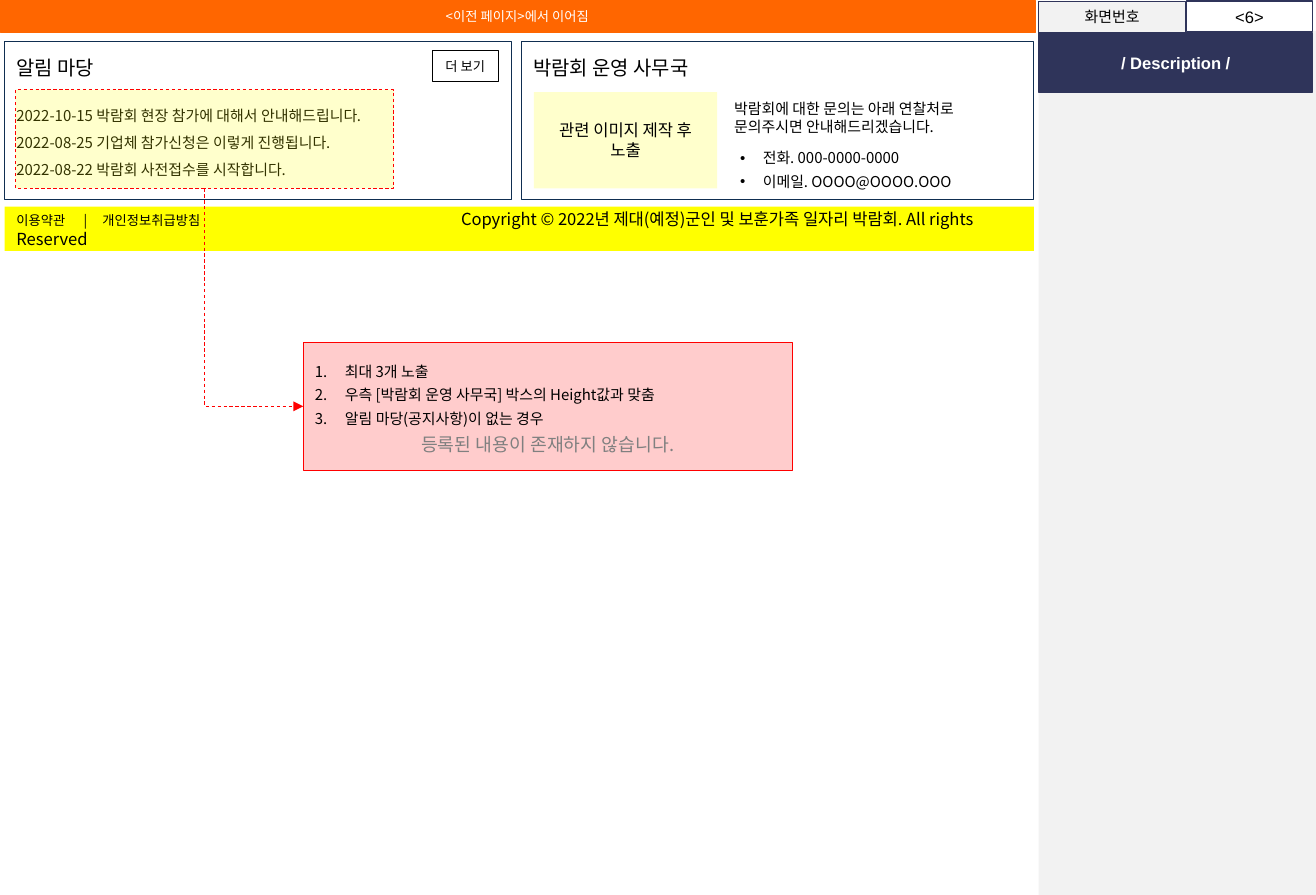
from lxml import etree
from pptx import Presentation
from pptx.dml.color import RGBColor
from pptx.enum.dml import MSO_LINE
from pptx.enum.shapes import MSO_CONNECTOR, MSO_SHAPE
from pptx.enum.text import MSO_ANCHOR, PP_ALIGN
from pptx.oxml.ns import qn
from pptx.util import Cm, Pt

RECTANGLE = MSO_SHAPE.RECTANGLE
ELBOW = MSO_CONNECTOR.ELBOW
DASH = MSO_LINE.DASH
TOP, MIDDLE = MSO_ANCHOR.TOP, MSO_ANCHOR.MIDDLE
LEFT, CENTER = PP_ALIGN.LEFT, PP_ALIGN.CENTER

KOREAN, LATIN = "Noto Sans CJK KR", "Arial"
BLACK = RGBColor(0x00, 0x00, 0x00)
WHITE = RGBColor(0xFF, 0xFF, 0xFF)
GRAY = RGBColor(0x80, 0x80, 0x80)
LIGHT_GRAY = RGBColor(0xF2, 0xF2, 0xF2)
ORANGE = RGBColor(0xFF, 0x66, 0x00)
NAVY = RGBColor(0x2F, 0x34, 0x5A)
DARK_BLUE = RGBColor(0x0F, 0x2E, 0x51)
CREAM = RGBColor(0xFF, 0xFF, 0xCC)
YELLOW = RGBColor(0xFF, 0xFF, 0x00)
RED = RGBColor(0xFF, 0x00, 0x00)
PINK = RGBColor(0xFF, 0xCC, 0xCC)

presentation = Presentation()
presentation.slide_width, presentation.slide_height = Cm(28), Cm(19.05)
slide = presentation.slides.add_slide(presentation.slide_layouts[6])


def add_box(left, top, width, height, fill=None, line=None, line_width=0.25, anchor=MIDDLE):
    """Add a rectangle; positions are in centimetres."""
    shape = slide.shapes.add_shape(RECTANGLE, Cm(left), Cm(top), Cm(width), Cm(height))
    shape.shadow.inherit = False
    if fill is None:
        shape.fill.background()
    else:
        shape.fill.solid()
        shape.fill.fore_color.rgb = fill
    if line is None:
        shape.line.fill.background()
    else:
        shape.line.color.rgb = line
        shape.line.width = Pt(line_width)
    shape.text_frame.word_wrap = True
    shape.text_frame.vertical_anchor = anchor
    return shape


def add_text(shape, runs, color=BLACK, font=KOREAN, bold=False, bullet=None, indent=0, **layout):
    """Write one paragraph from (text, size) runs, using the empty first one if free."""
    frame = shape.text_frame
    paragraph = frame.paragraphs[0] if not frame.text else frame.add_paragraph()
    for name, value in {"alignment": LEFT, **layout}.items():
        setattr(paragraph, name, value)
    for text, size in runs:
        run = paragraph.add_run()
        run.text = text
        for name, value in {"name": font, "size": Pt(size), "bold": bold}.items():
            setattr(run.font, name, value)
        run.font.color.rgb = color
        etree.SubElement(run._r.get_or_add_rPr(), qn("a:ea"), typeface=font)
    if bullet:
        properties = paragraph._p.get_or_add_pPr()
        properties.set("marL", str(Cm(indent)))
        properties.set("indent", str(-Cm(indent)))
        tag, attribute, value = bullet
        if tag == "a:buChar":
            etree.SubElement(properties, qn("a:buFont"), typeface=LATIN)
        etree.SubElement(properties, qn(tag), {attribute: value})
    return paragraph


# Header band and description column
header = add_box(0, 0, 22.02, 0.69, ORANGE, ORANGE)
add_text(header, [("<이전 페이지>에서 이어짐", 8)], WHITE, alignment=CENTER)
add_box(22.1, 0.66, 5.9, 18.39, LIGHT_GRAY)
screen_label = add_box(22.1, 0.02, 3.12, 0.66, LIGHT_GRAY, NAVY)
add_text(screen_label, [("화면번호", 9)], alignment=CENTER)
screen_number = add_box(25.25, 0.02, 2.67, 0.66, None, NAVY, 0.75)
add_text(screen_number, [("<6>", 10)], font=LATIN, alignment=CENTER)
description = add_box(22.1, 0.71, 5.83, 1.25, NAVY, NAVY, 1)
add_text(description, [("/ Description /", 10)], WHITE, LATIN, True, alignment=CENTER)

# Notice and office panels
panels = []
for title, left, width in (("알림 마당", 0.1, 10.78), ("박람회 운영 사무국", 11.1, 10.9)):
    panel = add_box(left, 0.88, width, 3.37, None, DARK_BLUE, 0.5, TOP)
    panel.text_frame.margin_top = Cm(0.3)
    add_text(panel, [(title, 12)], space_after=Pt(11))
    panels.append(panel)
for notice in (
    "2022-10-15 박람회 현장 참가에 대해서 안내해드립니다.",
    "2022-08-25 기업체 참가신청은 이렇게 진행됩니다.",
    "2022-08-22 박람회 사전접수를 시작합니다.",
):
    add_text(panels[0], [(notice, 9)], line_spacing=1.5)
more_button = add_box(9.2, 1.07, 1.4, 0.67, None, BLACK)
add_text(more_button, [("더 보기", 8)], alignment=CENTER)

# Office image area and contact details
image_area = add_box(11.36, 1.96, 3.9, 2.05, CREAM)
add_text(image_area, [("관련 이미지 제작 후 노출", 10)], alignment=CENTER)
inquiry, contacts = [
    slide.shapes.add_textbox(Cm(left), Cm(top), Cm(width), Cm(1.07))
    for left, top, width in ((15.37, 1.96, 6.63), (15.5, 3.02, 5.54))
]
for text_box in (inquiry, contacts):
    text_box.text_frame.word_wrap = True
    text_box.text_frame.vertical_anchor = MIDDLE
add_text(inquiry, [("박람회에 대한 문의는 아래 연찰처로 문의주시면 안내해드리겠습니다.", 9)])
for contact in ("전화. 000-0000-0000", "이메일. OOOO@OOOO.OOO"):
    add_text(contacts, [(contact, 9)], bullet=("a:buChar", "char", "•"), indent=0.48,
             line_spacing=1.3)

# Footer, spaced with tab stops
footer = add_box(0.1, 4.4, 21.9, 0.94, YELLOW)
footer_line = add_text(footer, [
    ("이용약관\t|\t개인정보취급방침\t", 8),
    ("Copyright © 2022년 제대(예정)군인 및 보훈가족 일자리 박람회. All rights Reserved", 10),
])
tab_list = etree.SubElement(footer_line._p.get_or_add_pPr(), qn("a:tabLst"))
for position in (1.43, 1.83, 9.46):
    etree.SubElement(tab_list, qn("a:tab"), pos=str(Cm(position)), algn="l")

# Highlight over the notice list
highlight = add_box(0.33, 1.91, 8.05, 2.1, YELLOW, RED, 0.5)
highlight.line.dash_style = DASH
highlight_color = highlight.element.spPr.find(qn("a:solidFill"))[0]
etree.SubElement(highlight_color, qn("a:alpha"), val="20000")

# Annotation box
annotation = add_box(6.45, 7.29, 10.41, 2.72, PINK, RED, 0.5)
for rule in (
    "최대 3개 노출",
    "우측 [박람회 운영 사무국] 박스의 Height값과 맞춤",
    "알림 마당(공지사항)이 없는 경우",
):
    add_text(annotation, [(rule, 9)], bullet=("a:buAutoNum", "type", "arabicPeriod"),
             indent=0.64, line_spacing=1.3)
add_text(annotation, [("등록된 내용이 존재하지 않습니다.", 11)], GRAY,
         alignment=CENTER, line_spacing=1.3)

# Elbow arrow: down from the highlight, then right to the annotation
arrow = slide.shapes.add_connector(ELBOW, 0, 0, 0, 0)
arrow.begin_connect(highlight, 2)
arrow.end_connect(annotation, 1)
start_x, start_y = highlight.left + highlight.width // 2, highlight.top + highlight.height
end_x, end_y = annotation.left, annotation.top + annotation.height // 2
across, down = end_x - start_x, end_y - start_y
placement = {
    "left": (start_x + end_x - down) // 2,
    "top": (start_y + end_y - across) // 2,
    "width": down,
    "height": across,
}
for name, value in placement.items():
    setattr(arrow, name, value)
arrow_properties = arrow.element.spPr
arrow_frame = arrow_properties.find(qn("a:xfrm"))
for name in ("flipH", "flipV"):
    arrow_frame.attrib.pop(name, None)
arrow_frame.set("rot", "16200000")
arrow_frame.set("flipH", "1")
arrow_properties.find(qn("a:prstGeom")).set("prst", "bentConnector2")
arrow.line.color.rgb = RED
arrow.line.width = Pt(0.5)
arrow.line.dash_style = DASH
etree.SubElement(arrow_properties.find(qn("a:ln")), qn("a:tailEnd"), type="triangle")
etree.SubElement(arrow_properties, qn("a:effectLst"))

presentation.save("out.pptx")
